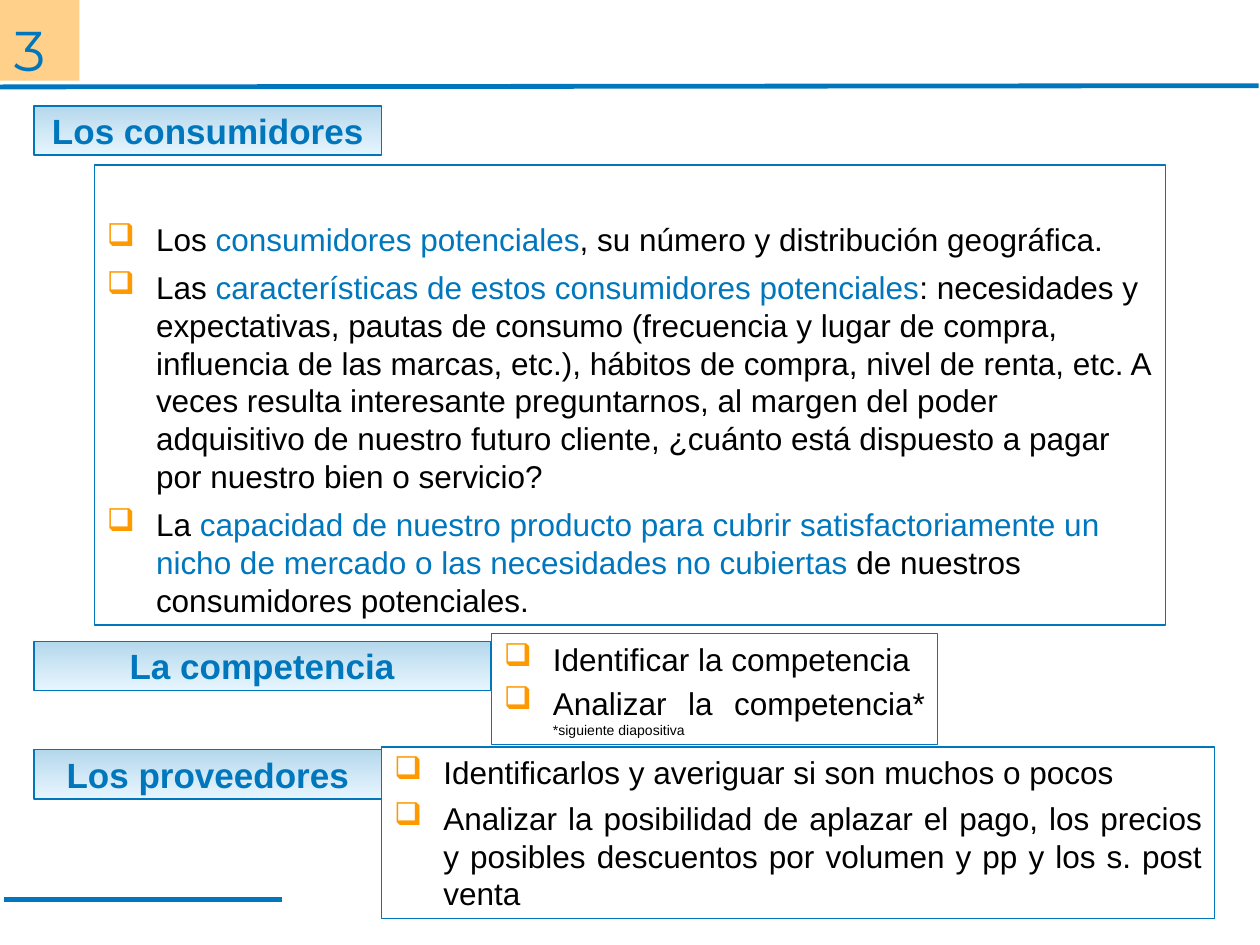
from dataclasses import dataclass

from lxml import etree
from pptx import Presentation
from pptx.dml.color import RGBColor
from pptx.enum.shapes import MSO_CONNECTOR, MSO_SHAPE
from pptx.enum.text import MSO_ANCHOR, PP_ALIGN
from pptx.oxml.ns import qn
from pptx.util import Inches, Pt

RECT, PROCESS = MSO_SHAPE.RECTANGLE, MSO_SHAPE.FLOWCHART_PROCESS
LINE = MSO_CONNECTOR.STRAIGHT
TOP, MIDDLE, BOTTOM = MSO_ANCHOR.TOP, MSO_ANCHOR.MIDDLE, MSO_ANCHOR.BOTTOM
LEFT, CENTER, JUSTIFY = PP_ALIGN.LEFT, PP_ALIGN.CENTER, PP_ALIGN.JUSTIFY


@dataclass(frozen=True)
class Theme:
    blue: str = "0077BD"
    sky: str = "A1DBFF"
    orange: str = "FF9900"
    black: str = "000000"
    font: str = "Arial"
    digit: str = "Montserrat"
    head: int = 20
    body: int = 18
    note: int = 8
    number: int = 32
    edge: float = 0.75
    rule: float = 2.75


THEME = Theme()


def set_alpha(shape, values):
    """Give each fill colour of a shape its opacity in percent."""
    colors = shape._element.spPr.iter(qn("a:srgbClr"))
    for color, value in zip(list(colors), values):
        etree.SubElement(color, qn("a:alpha")).set("val", str(value * 1000))


def add_box(slide, box, kind=RECT, edge=True):
    shape = slide.shapes.add_shape(kind, *map(Inches, box))
    shape.shadow.inherit = False
    shape.fill.background()
    if edge:
        shape.line.color.rgb = RGBColor.from_string(THEME.blue)
        shape.line.width = Pt(THEME.edge)
    else:
        shape.line.fill.background()
    return shape


def add_rule(slide, x1, y1, x2, y2):
    rule = slide.shapes.add_connector(LINE, *map(Inches, (x1, y1, x2, y2)))
    rule.line.color.rgb = RGBColor.from_string(THEME.blue)
    rule.line.width = Pt(THEME.rule)
    etree.SubElement(rule._element.spPr, qn("a:effectLst"))


def add_text(par, text, size=THEME.body, color=THEME.black, font=THEME.font,
             bold=False):
    run = par.add_run()
    run.text = text
    run.font.size, run.font.bold, run.font.name = Pt(size), bold, font
    run.font.color.rgb = RGBColor.from_string(color)


def set_bullet(par):
    props = par._p.get_or_add_pPr()
    indent = Inches(0.39)
    props.set("marL", str(indent))
    props.set("indent", str(-indent))
    color = etree.SubElement(props, qn("a:buClr"))
    etree.SubElement(color, qn("a:srgbClr")).set("val", THEME.orange)
    etree.SubElement(props, qn("a:buChar")).set("char", "❑")


def add_frame(slide):
    """Rules and numbered corner."""
    add_rule(slide, -0.01, 0.69, 9.99, 0.68)
    corner = add_box(slide, (0, 0, 0.63, 0.64), edge=False)
    corner.fill.solid()
    corner.fill.fore_color.rgb = RGBColor.from_string(THEME.orange)
    set_alpha(corner, [46])
    frame = corner.text_frame
    frame.margin_left, frame.margin_top = Inches(0.11), Inches(0.12)
    frame.margin_right = frame.margin_bottom = 0
    frame.vertical_anchor = TOP
    par = frame.paragraphs[0]
    par.alignment = LEFT
    add_text(par, "3", size=THEME.number, color=THEME.blue, font=THEME.digit)
    add_rule(slide, 0.03, 7.14, 2.24, 7.14)


def add_head(slide, box, text):
    """Shaded heading."""
    shape = add_box(slide, box, PROCESS)
    shape.fill.gradient()
    shape.fill.gradient_angle = 270
    for stop, color in zip(shape.fill.gradient_stops, (THEME.blue, THEME.sky)):
        stop.color.rgb = RGBColor.from_string(color)
    set_alpha(shape, [30, 25])
    shape.text_frame.vertical_anchor = MIDDLE
    par = shape.text_frame.paragraphs[0]
    par.alignment = CENTER
    add_text(par, text, size=THEME.head, color=THEME.blue, bold=True)


def add_list(slide, box, items, gap, align=JUSTIFY, anchor=MIDDLE):
    """Outlined bullet list; each item is a list of (text, format) runs."""
    frame = add_box(slide, box).text_frame
    frame.word_wrap = True
    frame.vertical_anchor = anchor
    for i, runs in enumerate(items):
        par = frame.add_paragraph() if i else frame.paragraphs[0]
        set_bullet(par)
        par.alignment = align
        par.space_after = Pt(gap if i < len(items) - 1 else 0)
        for text, style in runs:
            add_text(par, text, **style)


def main():
    deck = Presentation()
    deck.slide_width, deck.slide_height = Inches(10), Inches(7.5)
    slide = deck.slides.add_slide(deck.slide_layouts[6])
    plain, key = {}, {"color": THEME.blue}
    add_frame(slide)

    # Consumers
    add_list(slide, (0.75, 1.31, 8.5, 3.65), [
        [("Los ", plain), ("consumidores potenciales", key),
         (", su número y distribución geográfica.", plain)],
        [("Las ", plain),
         ("características de estos consumidores potenciales", key),
         (": necesidades y expectativas, pautas de consumo (frecuencia y "
          "lugar de compra, influencia de las marcas, etc.), hábitos de "
          "compra, nivel de renta, etc. A veces resulta interesante "
          "preguntarnos, al margen del poder adquisitivo de nuestro futuro "
          "cliente, ¿cuánto está dispuesto a pagar por nuestro bien o "
          "servicio?", plain)],
        [("La ", plain),
         ("capacidad de nuestro producto para cubrir satisfactoriamente un "
          "nicho de mercado o las necesidades no cubiertas", key),
         (" de nuestros consumidores potenciales.", plain)],
    ], gap=6, align=LEFT, anchor=BOTTOM)
    add_head(slide, (0.27, 0.84, 2.76, 0.39), "Los consumidores")

    # Competitors
    add_list(slide, (3.9, 5.03, 3.54, 0.88), [
        [("Identificar la competencia", plain)],
        [("Analizar la competencia* ", plain),
         ("*siguiente diapositiva", {"size": THEME.note})],
    ], gap=3.2)
    add_head(slide, (0.27, 5.09, 3.62, 0.39), "La competencia")

    # Suppliers
    add_list(slide, (3.03, 5.93, 6.61, 1.36), [
        [("Identificarlos y averiguar si son muchos o pocos", plain)],
        [("Analizar la posibilidad de aplazar el pago, los precios y posibles "
          "descuentos por volumen y pp y los s. post venta", plain)],
    ], gap=4.4)
    add_head(slide, (0.27, 5.95, 2.76, 0.39), "Los proveedores")

    deck.save("out.pptx")


if __name__ == "__main__":
    main()
